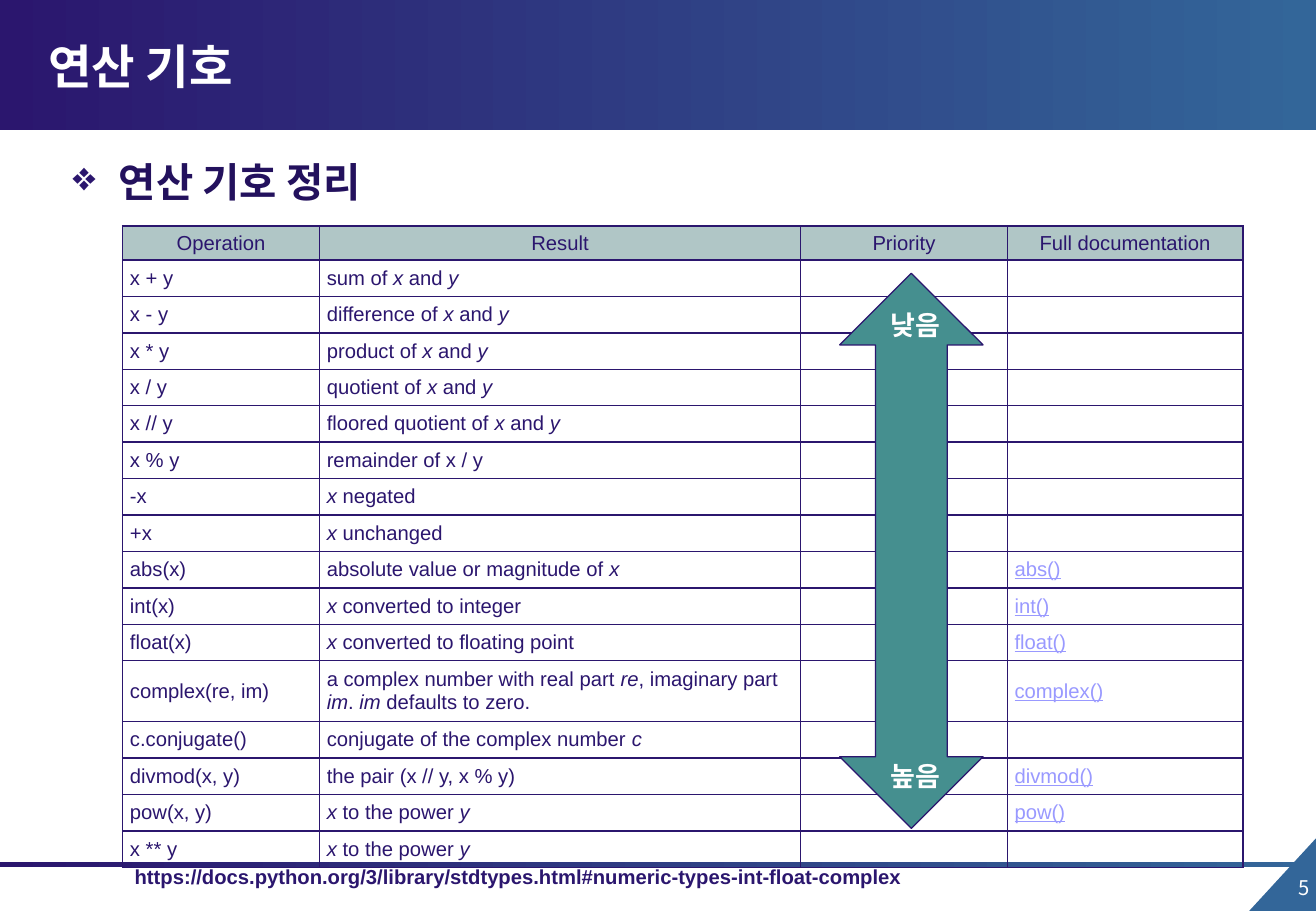
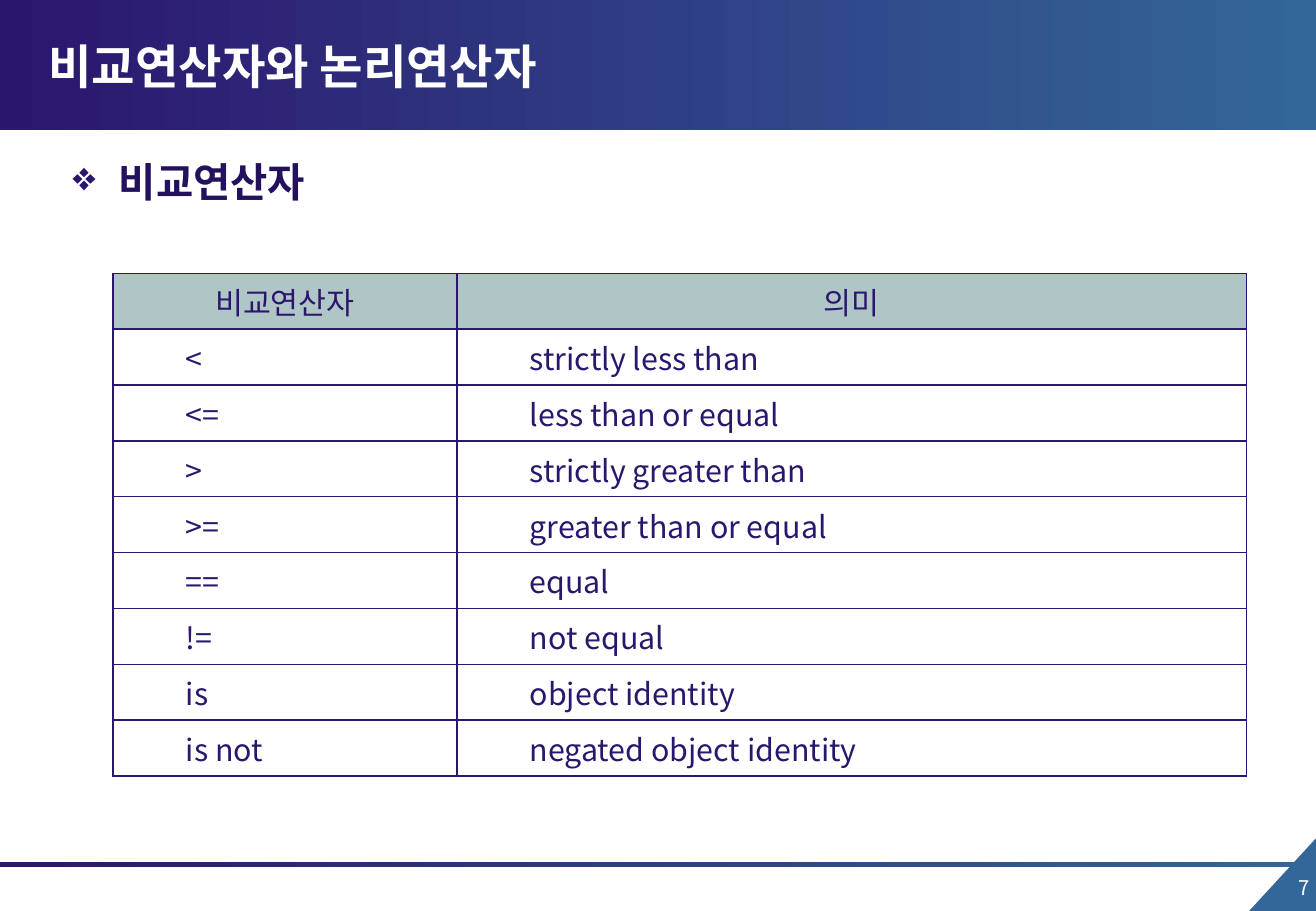
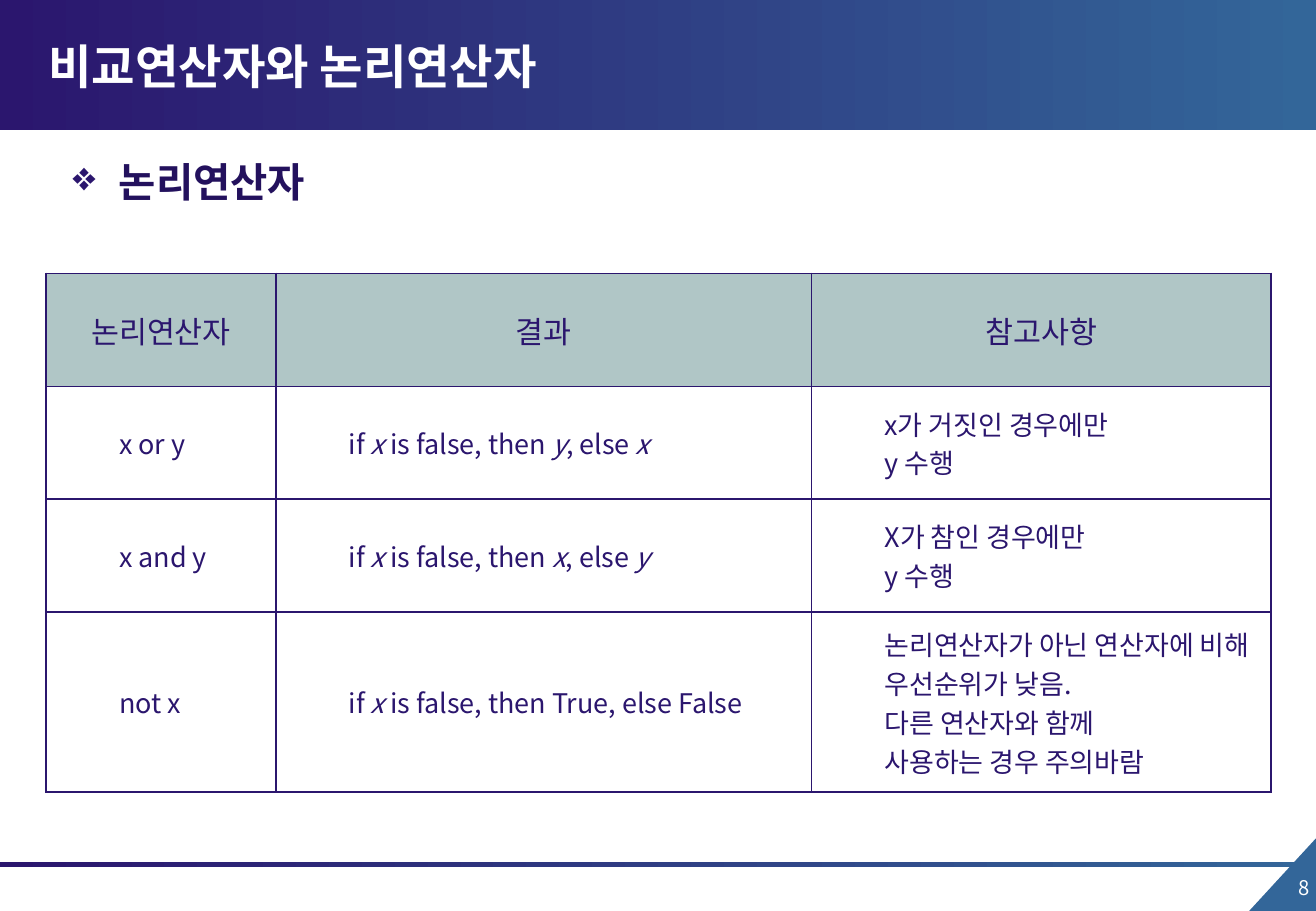
from lxml.etree import SubElement
from pptx import Presentation
from pptx.dml.color import RGBColor
from pptx.enum.shapes import MSO_SHAPE as SHAPE
from pptx.enum.text import MSO_ANCHOR as ANCHOR, PP_ALIGN as ALIGN
from pptx.oxml.ns import qn
from pptx.util import Inches, Pt

NAVY = RGBColor(0x2B, 0x16, 0x6E)
DEEP_NAVY = RGBColor(0x23, 0x11, 0x5D)
STEEL = RGBColor(0x33, 0x66, 0x99)
TEAL = RGBColor(0x45, 0x8F, 0x8F)
SAGE = RGBColor(0xB0, 0xC6, 0xC6)
LINK = RGBColor(0x99, 0x99, 0xFF)
WHITE = RGBColor(0xFF, 0xFF, 0xFF)
SANS = "Arial"
KOREAN = "Noto Sans CJK KR"
WIDTH, HEIGHT = 10.83, 7.5

OPERATIONS = [
    ["Operation", "Result", "Priority", "Full documentation"],
    ["x + y", "sum of _x_ and _y_", "", ""],
    ["x - y", "difference of _x_ and _y_", "", ""],
    ["x * y", "product of _x_ and _y_", "", ""],
    ["x / y", "quotient of _x_ and _y_", "", ""],
    ["x // y", "floored quotient of _x_ and _y_", "", ""],
    ["x % y", "remainder of x / y", "", ""],
    ["-x", "_x_ negated", "", ""],
    ["+x", "_x_ unchanged", "", ""],
    ["abs(x)", "absolute value or magnitude of _x_", "", "abs()"],
    ["int(x)", "_x_ converted to integer", "", "int()"],
    ["float(x)", "_x_ converted to floating point", "", "float()"],
    ["complex(re, im)",
     "a complex number with real part _re_, imaginary part _im_. _im_ defaults to zero.",
     "", "complex()"],
    ["c.conjugate()", "conjugate of the complex number _c_", "", ""],
    ["divmod(x, y)", "the pair (x // y, x % y)", "", "divmod()"],
    ["pow(x, y)", "_x_ to the power _y_", "", "pow()"],
    ["x ** y", "_x_ to the power _y_", "", ""],
]

COMPARISONS = [
    ["비교연산자", "의미"],
    ["<", "strictly less than"],
    ["<=", "less than or equal"],
    [">", "strictly greater than"],
    [">=", "greater than or equal"],
    ["==", "equal"],
    ["!=", "not equal"],
    ["is", "object identity"],
    ["is not", "negated object identity"],
]

LOGIC = [
    ["논리연산자", "결과", "참고사항"],
    ["x or y", "if _x_ is false, then _y_, else _x_", "x가 거짓인 경우에만\ny 수행"],
    ["x and y", "if _x_ is false, then _x_, else _y_", "X가 참인 경우에만\ny 수행"],
    ["not x", "if _x_ is false, then True, else False",
     "논리연산자가 아닌 연산자에 비해 우선순위가 낮음.\n다른 연산자와 함께\n사용하는 경우 주의바람"],
]


class Deck:
    def __init__(self):
        self.prs = Presentation()
        self.prs.slide_width = Inches(WIDTH)
        self.prs.slide_height = Inches(HEIGHT)
        self.s = None

    def add_slide(self, number, title, heading):
        self.s = self.prs.slides.add_slide(self.prs.slide_layouts[6])
        corner = self.shape(SHAPE.RIGHT_TRIANGLE, (10.25, 6.91, 0.62, 0.57), STEEL)
        corner.rotation = 270
        self.band(7.1, 0.04)
        self.band(0, 1.07)
        self.text((10.27, 7.16, 0.61, 0.41), number, 12, WHITE, KOREAN, align=ALIGN.RIGHT)
        self.text((0.3, 0.23, 8.12, 0.62), title, 28, WHITE, KOREAN, bold=True,
                  anchor=ANCHOR.MIDDLE)
        self.heading(heading)

    def shape(self, kind, box, color=None):
        sp = self.s.shapes.add_shape(kind, *map(Inches, box))
        sp.shadow.inherit = False
        sp.line.fill.background()
        if color is not None:
            sp.fill.solid()
            sp.fill.fore_color.rgb = color
        return sp

    def band(self, top, height):
        sp = self.shape(SHAPE.RECTANGLE, (0, top, WIDTH, height))
        sp.fill.gradient()
        sp.fill.gradient_angle = 0
        for stop, color, position in zip(sp.fill.gradient_stops, (NAVY, STEEL), (0, 1)):
            stop.color.rgb = color
            stop.position = position

    def add_runs(self, p, text, size, color, font, bold=False, underline=False):
        for i, line in enumerate(text.split("\n")):
            if i:
                p.add_line_break()
            for j, part in enumerate(line.split("_")):
                if not part:
                    continue
                r = p.add_run()
                r.text = part
                r.font.size = Pt(size)
                r.font.name = font
                r.font.color.rgb = color
                r.font.bold = bold
                r.font.italic = j % 2 == 1
                r.font.underline = underline
                SubElement(r._r.get_or_add_rPr(), qn("a:ea"), typeface=KOREAN)

    def text(self, box, text, size, color, font, bold=False, align=ALIGN.LEFT,
             anchor=ANCHOR.TOP, wrap=True):
        sp = self.s.shapes.add_textbox(*map(Inches, box))
        tf = sp.text_frame
        tf.word_wrap = wrap
        tf.vertical_anchor = anchor
        p = tf.paragraphs[0]
        p.alignment = align
        self.add_runs(p, text, size, color, font, bold)
        return sp

    def heading(self, text):
        tf = self.text((0.5, 1.29, 9.8, 0.65), text, 24, DEEP_NAVY, SANS, bold=True).text_frame
        tf.margin_top = 0
        pPr = tf.paragraphs[0]._p.get_or_add_pPr()
        pPr.set("marL", str(Inches(0.38)))
        pPr.set("indent", str(-Inches(0.38)))
        SubElement(SubElement(pPr, qn("a:buClr")), qn("a:srgbClr"), val=str(NAVY))
        SubElement(pPr, qn("a:buChar"), char="❖")

    def borders(self, cell):
        tcPr = cell._tc.get_or_add_tcPr()
        for side in ("lnL", "lnR", "lnT", "lnB"):
            ln = SubElement(tcPr, qn("a:" + side), w=str(Pt(1)))
            SubElement(SubElement(ln, qn("a:solidFill")), qn("a:srgbClr"), val=str(NAVY))

    def table(self, left, top, widths, heights, rows, font, head_size, size,
              inset=(0.1, 0.05), indent=0, link_col=None):
        frame = self.s.shapes.add_table(len(rows), len(widths), Inches(left), Inches(top),
                                        Inches(sum(widths)), Inches(sum(heights)))
        table = frame.table
        table.first_row = table.horz_banding = False
        for col, width in zip(table.columns, widths):
            col.width = Inches(width)
        for i, (row, height) in enumerate(zip(rows, heights)):
            table.rows[i].height = Inches(height)
            for j, text in enumerate(row):
                cell = table.cell(i, j)
                cell.vertical_anchor = ANCHOR.MIDDLE
                cell.margin_left = cell.margin_right = Inches(inset[0])
                cell.margin_top = cell.margin_bottom = Inches(inset[1])
                self.borders(cell)
                p = cell.text_frame.paragraphs[0]
                if i == 0:
                    cell.fill.solid()
                    cell.fill.fore_color.rgb = SAGE
                    p.alignment = ALIGN.CENTER
                else:
                    cell.fill.background()
                    if indent:
                        p.level = 1
                        p._p.get_or_add_pPr().set("marL", str(Inches(indent)))
                linked = i > 0 and j == link_col
                if text:
                    self.add_runs(p, text, size if i else head_size, LINK if linked else NAVY,
                                  font, underline=linked)
                else:
                    SubElement(p._p, qn("a:endParaRPr"), sz=str(size * 100))

    def priority_arrow(self, box, labels):
        sp = self.shape(SHAPE.UP_DOWN_ARROW, box, TEAL)
        sp.adjustments[0] = sp.adjustments[1] = 0.5
        sp.line.color.rgb = NAVY
        sp.line.width = Pt(0.75)
        for top, label in labels:
            self.text((7.21, top, 0.65, 0.37), label, 16, WHITE, SANS, bold=True,
                      align=ALIGN.CENTER, anchor=ANCHOR.MIDDLE, wrap=False)


def main():
    deck = Deck()

    deck.add_slide("5", "연산 기호", "연산 기호 정리")
    heights = [0.28] + [0.3] * 11 + [0.5] + [0.3] * 4
    deck.table(1.01, 1.86, [1.62, 3.96, 1.7, 1.94], heights, OPERATIONS, SANS, 12, 12,
               inset=(0.06, 0.03), link_col=3)
    deck.priority_arrow((6.91, 2.25, 1.18, 4.57), [(6.2, "높음"), (2.49, "낮음")])
    deck.text((1.01, 7.07, 6.73, 0.3),
              "https://docs.python.org/3/library/stdtypes.html#numeric-types-int-float-complex",
              12, NAVY, SANS, bold=True)

    deck.add_slide("7", "비교연산자와 논리연산자", "비교연산자")
    deck.table(0.93, 2.25, [2.83, 6.5], [0.46] * len(COMPARISONS), COMPARISONS, KOREAN, 18, 18,
               indent=0.5)

    deck.add_slide("8", "비교연산자와 논리연산자", "논리연산자")
    deck.table(0.38, 2.25, [1.89, 4.41, 3.78], [0.93] * 3 + [1.48], LOGIC, KOREAN, 18, 16,
               indent=0.5)

    deck.prs.save("out.pptx")


if __name__ == "__main__":
    main()
